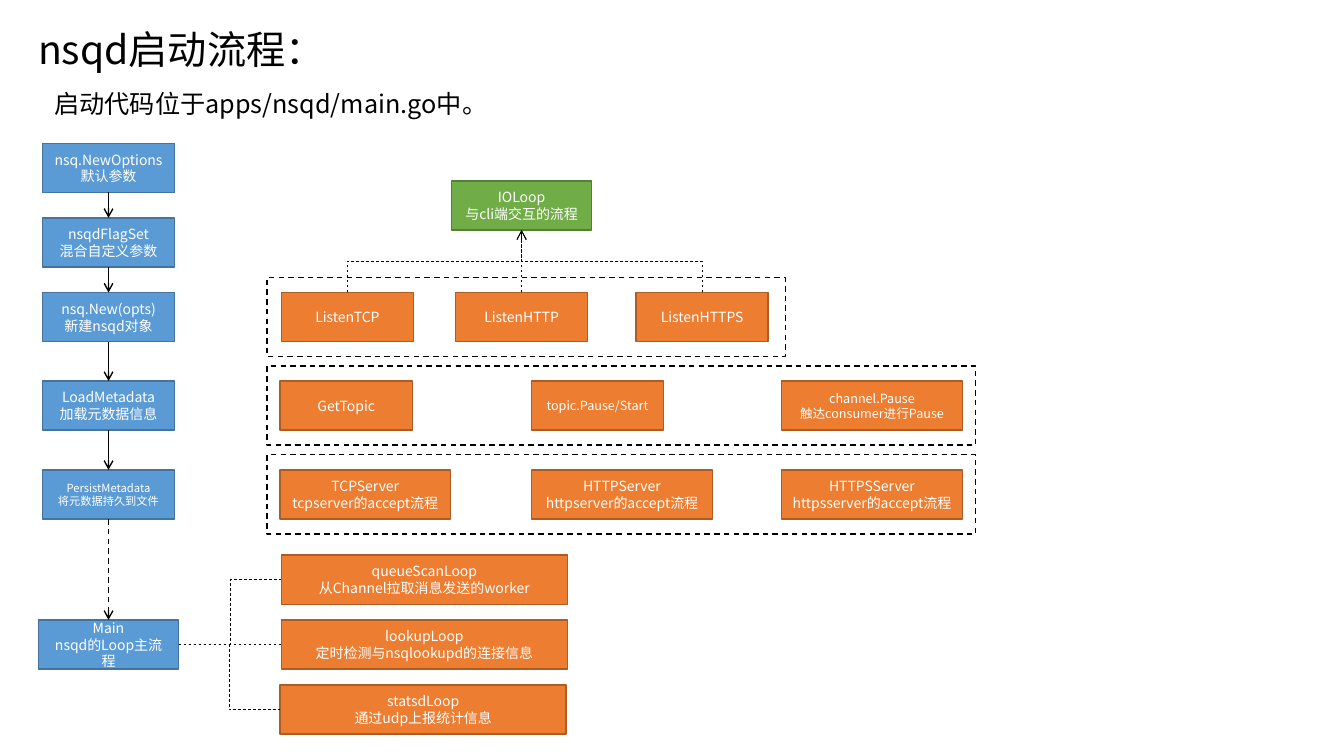
from pptx import Presentation
from pptx import util as u
from pptx.dml.color import RGBColor
from pptx.enum import dml, shapes, text
from pptx.oxml.ns import qn
from lxml import etree

THEME = {
    "font": "Noto Sans CJK JP",
    "ink": "000000", "paper": "FFFFFF",
    "blue": ("5B9BD5", "43739E"),
    "orange": ("ED7D31", "AF5C24"),
    "green": ("70AD47", "538035"),
    "title": 28, "lead": 18, "body": 10, "small": 9, "tiny": 8,
    "line": 1, "thin": 0.5,
}
HIGH = 1.24
PAD = 0.38
WIDE = 3.33

HEADS = [
    ("nsqd启动流程：", "title", (0.71, 0.51, 14.1, 1.45)),
    ("启动代码位于apps/nsqd/main.go中。", "lead", (1.12, 2.11, 22.63, 1.02)),
]
FRAMES = [(11.84, 17.86), (9.6, 17.86), (7.37, 13.06)]
STEPS = [
    ("nsq.NewOptions\n默认参数", 1.07, 3.61, WIDE, "body"),
    ("nsqdFlagSet\n混合自定义参数", 1.07, 5.49, WIDE, "body"),
    ("nsq.New(opts)\n新建nsqd对象", 1.07, 7.37, WIDE, "body"),
    ("LoadMetadata\n加载元数据信息", 1.07, 9.6, WIDE, "body"),
    ("PersistMetadata\n将元数据持久到文件", 1.07, 11.84, WIDE, "tiny"),
    ("Main\nnsqd的Loop主流程", 0.97, 15.62, 3.53, "body"),
]
LISTENS = [
    ("ListenTCP", 7.09, 7.37, WIDE, "body"),
    ("ListenHTTP", 11.48, 7.37, WIDE, "body"),
    ("ListenHTTPS", 16.03, 7.37, WIDE, "body"),
]
CALLS = [
    ("GetTopic", 7.06, 9.6, WIDE, "body"),
    ("topic.Pause/Start", 13.39, 9.6, WIDE, "small"),
    ("channel.Pause\n触达consumer进行Pause", 19.69, 9.6, 4.57, "small"),
    ("TCPServer\ntcpserver的accept流程", 7.06, 11.84, 4.29, "body"),
    ("HTTPServer\nhttpserver的accept流程", 13.39, 11.84, 4.57, "body"),
    ("HTTPSServer\nhttpsserver的accept流程", 19.69, 11.84, 4.57, "body"),
]
LOOPS = [
    ("queueScanLoop\n从Channel拉取消息发送的worker", 7.09, 13.99, 7.21, "body"),
    ("lookupLoop\n定时检测与nsqlookupd的连接信息", 7.09, 15.62, 7.21, "body"),
    ("statsdLoop\n通过udp上报统计信息", 7.06, 17.26, 7.21, "body"),
]
TARGET = ("IOLoop\n与cli端交互的流程", 11.38, 4.56, 3.53, "body")

deck = Presentation()
deck.slide_width, deck.slide_height = u.Cm(33.87), u.Cm(19.05)
slide = deck.slides.add_slide(deck.slide_layouts[6])


def tint(name):
    return RGBColor.from_string(name)


def write(shape, words, size="body", ink="ink", align=None, anchor=None):
    frame = shape.text_frame
    frame.word_wrap = True
    frame.vertical_anchor = anchor
    frame.text = words
    for para in frame.paragraphs:
        para.alignment = align
        for run in para.runs:
            run.font.size = u.Pt(THEME[size])
            run.font.color.rgb = tint(THEME[ink])
            run.font.name = THEME["font"]
            east = etree.SubElement(run.font._element, qn("a:ea"))
            east.set("typeface", THEME["font"])


def rect(x, y, wide, high, fill, edge):
    shape = slide.shapes.add_shape(
        shapes.MSO_SHAPE.RECTANGLE, *map(u.Cm, (x, y, wide, high)))
    shape.shadow.inherit = False
    shape.fill.solid()
    shape.fill.fore_color.rgb = tint(fill)
    shape.line.color.rgb = tint(edge)
    shape.line.width = u.Pt(THEME["line"])
    return shape


def box(item, hue):
    words, x, y, wide, size = item
    write(rect(x, y, wide, HIGH, *THEME[hue]), words, size=size, ink="paper",
          align=text.PP_ALIGN.CENTER, anchor=text.MSO_ANCHOR.MIDDLE)


def side(item, across, down):
    return item[1] + item[3] * across, item[2] + HIGH * down


def link(start, end, weight="line", dash=False, arrow=False, rise=False):
    (x1, y1), (x2, y2) = start, end
    bent = abs(x1 - x2) > 0.02 and abs(y1 - y2) > 0.02
    rise = rise and bent
    if rise:
        mid_x, mid_y = (x1 + x2) / 2, (y1 + y2) / 2
        half_x, half_y = (y1 - y2) / 2, (x2 - x1) / 2
        x1, y1 = mid_x - half_x, mid_y - half_y
        x2, y2 = mid_x + half_x, mid_y + half_y
    kind = shapes.MSO_CONNECTOR.ELBOW if bent else shapes.MSO_CONNECTOR.STRAIGHT
    wire = slide.shapes.add_connector(kind, *map(u.Cm, (x1, y1, x2, y2)))
    props = wire._element.spPr
    if rise:
        props.find(qn("a:xfrm")).set("rot", "16200000")
    wire.line.color.rgb = tint(THEME["ink"])
    wire.line.width = u.Pt(THEME[weight])
    if dash:
        wire.line.dash_style = dml.MSO_LINE.DASH
    if arrow:
        etree.SubElement(props.find(qn("a:ln")), qn("a:tailEnd")).set("type", "arrow")
    etree.SubElement(props, qn("a:effectLst"))


for y, wide in FRAMES:
    frame = rect(6.73, y - PAD, wide, HIGH + 2 * PAD, THEME["paper"], THEME["ink"])
    frame.line.dash_style = dml.MSO_LINE.DASH

for words, size, place in HEADS:
    head = slide.shapes.add_textbox(*map(u.Cm, place))
    write(head, words, size=size)
    head.text_frame.auto_size = text.MSO_AUTO_SIZE.SHAPE_TO_FIT_TEXT

for item in STEPS:
    box(item, "blue")
for item in LISTENS + CALLS + LOOPS:
    box(item, "orange")
box(TARGET, "green")

main = STEPS[-1]
for above, below in zip(STEPS, STEPS[1:]):
    link(side(above, 0.5, 1), side(below, 0.5, 0), dash=below is main, arrow=True)
for item in LOOPS:
    link(side(main, 1, 0.5), side(item, 0, 0.5), weight="thin", dash=True)
for item in LISTENS:
    link(side(item, 0.5, 0), side(TARGET, 0.5, 1), weight="thin", dash=True,
         arrow=True, rise=True)

deck.save("out.pptx")
